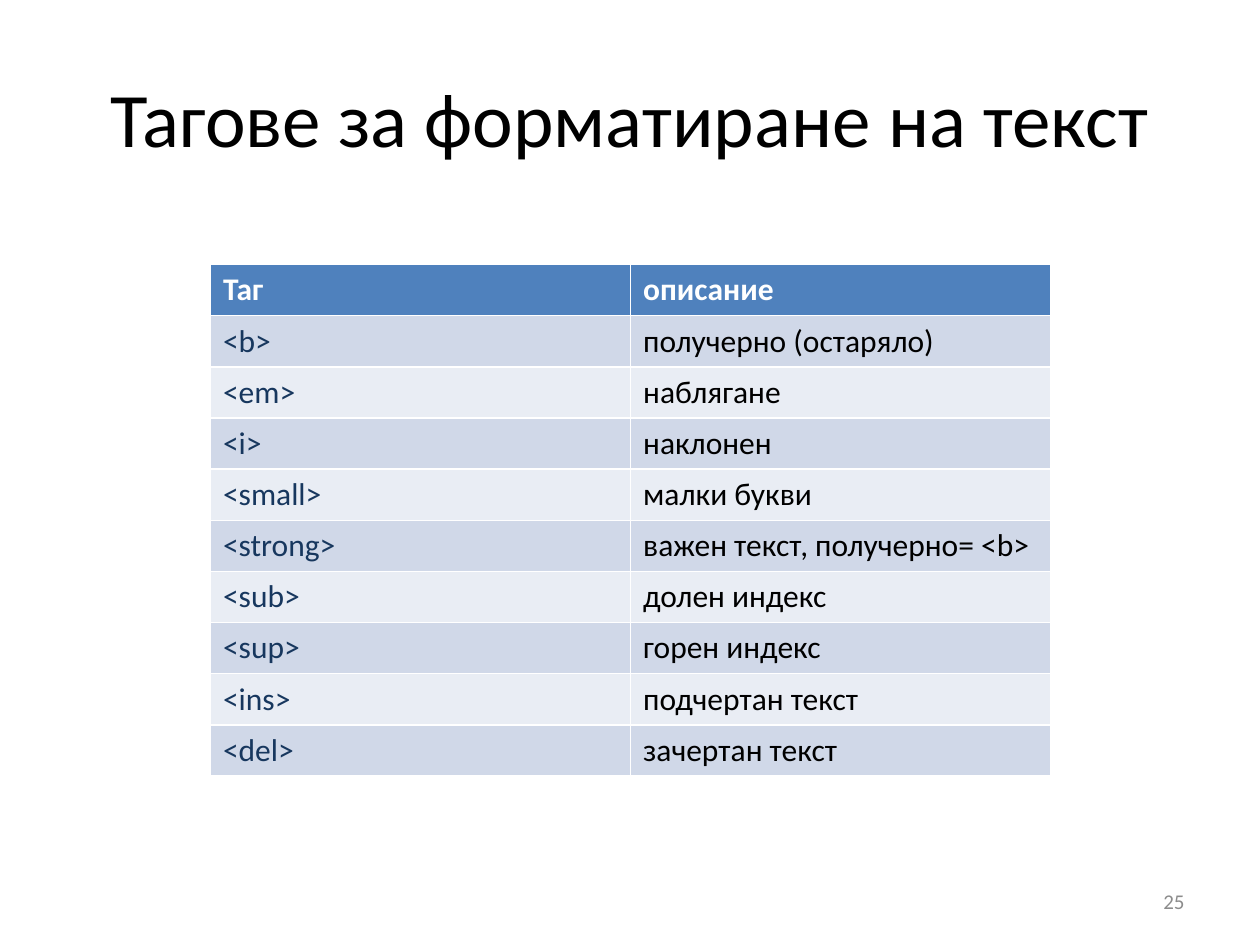
from dataclasses import dataclass

from pptx import Presentation
from pptx import util as u
from pptx.dml.color import RGBColor
from pptx.enum import text as t

FONT = "Calibri"
BLACK, WHITE, NAVY, GREY = "000000", "FFFFFF", "17375E", "8C8C8C"
HEAD, BANDS = "4F81BD", ("D0D8E8", "E9EDF4")


@dataclass
class Row:
    tag: str
    note: str


ROWS = [
    Row("Таг", "описание"),
    Row("<b>", "получерно (остаряло)"),
    Row("<em>", "наблягане"),
    Row("<i>", "наклонен"),
    Row("<small>", "малки букви"),
    Row("<strong>", "важен текст, получерно= <b>"),
    Row("<sub>", "долен индекс"),
    Row("<sup>", "горен индекс"),
    Row("<ins>", "подчертан текст"),
    Row("<del>", "зачертан текст"),
]


def paint(item, color: str) -> None:
    """Give a solid fill or a font its colour."""
    if hasattr(item, "solid"):
        item.solid()
        item = item.fore_color
    else:
        item = item.color
    item.rgb = RGBColor.from_string(color)


def write(frame, words: str, size: int, color: str, bold: bool = False,
          align=t.PP_ALIGN.LEFT) -> None:
    frame.text = words
    par = frame.paragraphs[0]
    par.alignment = align
    font = par.runs[0].font
    font.name, font.size, font.bold = FONT, u.Pt(size), bold
    paint(font, color)


def place(shape, left: float, top: float, width: float, height: float) -> None:
    shape.left, shape.top = u.Inches(left), u.Inches(top)
    shape.width, shape.height = u.Inches(width), u.Inches(height)


def add_title(slide) -> None:
    title = slide.shapes.title
    place(title, 0.5, 0.3, 9, 1.25)
    title.text_frame.vertical_anchor = t.MSO_ANCHOR.MIDDLE
    write(title.text_frame, "Тагове за форматиране на текст", 44, BLACK,
          align=t.PP_ALIGN.CENTER)


def add_tags(slide, rows: list[Row]) -> None:
    """Draw the table; the template's table style gives the white rules."""
    table = slide.shapes.add_table(
        len(rows), 2, u.Inches(1.67), u.Inches(2.1),
        u.Inches(6.67), u.Inches(4.06)).table
    for i, row in enumerate(rows):
        head = i == 0
        pairs = ((row.tag, NAVY), (row.note, BLACK))
        for cell, (words, color) in zip(table.rows[i].cells, pairs):
            paint(cell.fill, HEAD if head else BANDS[(i - 1) % 2])
            write(cell.text_frame, words, 18, WHITE if head else color, head)


def add_number(slide, number: int) -> None:
    box = slide.shapes.add_textbox(0, 0, 0, 0)
    place(box, 7.17, 6.95, 2.33, 0.4)
    frame = box.text_frame
    frame.word_wrap = True
    frame.vertical_anchor = t.MSO_ANCHOR.MIDDLE
    write(frame, str(number), 12, GREY, align=t.PP_ALIGN.RIGHT)


def main() -> None:
    deck = Presentation()
    deck.slide_width, deck.slide_height = u.Inches(10), u.Inches(7.5)
    slide = deck.slides.add_slide(deck.slide_layouts[5])
    add_title(slide)
    add_tags(slide, ROWS)
    add_number(slide, 25)
    deck.save("out.pptx")


if __name__ == "__main__":
    main()
